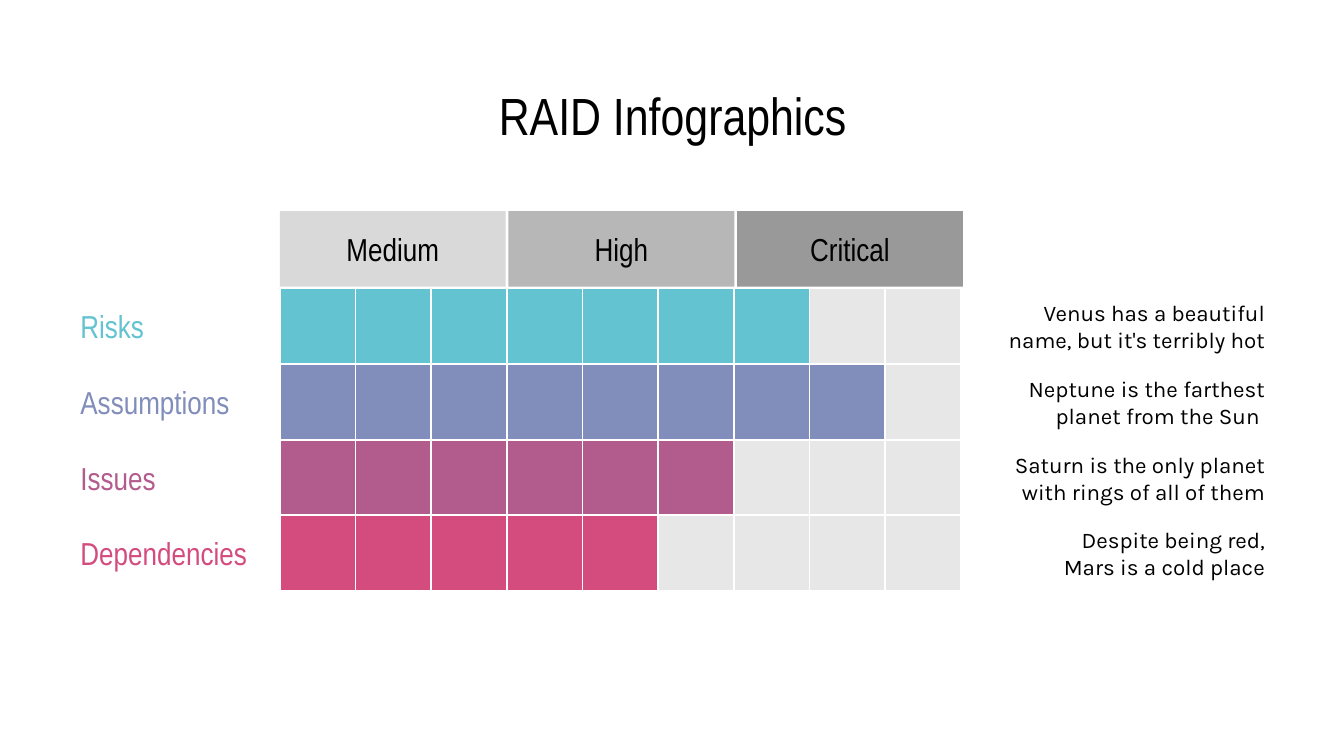
"""Build a RAID infographic slide with a severity grid and one note per row."""
from pptx import Presentation
from pptx import util as u
from pptx.dml.color import RGBColor
from pptx.enum import shapes, text

BLACK = RGBColor(0x00, 0x00, 0x00)
WHITE = RGBColor(0xFF, 0xFF, 0xFF)
EMPTY = RGBColor(0xE7, 0xE7, 0xE7)
LIGHT_GREY = RGBColor(0xD9, 0xD9, 0xD9)
MID_GREY = RGBColor(0xB7, 0xB7, 0xB7)
DARK_GREY = RGBColor(0x99, 0x99, 0x99)
TEAL = RGBColor(0x63, 0xC3, 0xD0)
BLUE = RGBColor(0x81, 0x8D, 0xBA)
PURPLE = RGBColor(0xB2, 0x5C, 0x8D)
PINK = RGBColor(0xD4, 0x4B, 0x7D)

HEADING_FONT = "Arial Narrow"
BODY_FONT = "Karla"
CELL = 1.43
COLUMNS = 9
GRID_LEFT = 5.29
GRID_TOP = 5.45

LEVELS = [("Medium", LIGHT_GREY), ("High", MID_GREY), ("Critical", DARK_GREY)]
ROWS = [
    ("Risks", TEAL, 7, "Venus has a beautiful name, but it's terribly hot"),
    ("Assumptions", BLUE, 8, "Neptune is the farthest planet from the Sun "),
    ("Issues", PURPLE, 6, "Saturn is the only planet with rings of all of them"),
    ("Dependencies", PINK, 5, "Despite being red,\vMars is a cold place"),
]


def write(box, words, font, size, color, align):
    frame = box.text_frame
    frame.word_wrap = True
    frame.auto_size = text.MSO_AUTO_SIZE.NONE
    frame.vertical_anchor = text.MSO_ANCHOR.MIDDLE
    frame.margin_left = frame.margin_right = u.Cm(0.25)
    frame.margin_top = frame.margin_bottom = u.Cm(0.25)
    paragraph = frame.paragraphs[0]
    paragraph.text = words
    paragraph.alignment = align
    paragraph.font.name = font
    paragraph.font.size = u.Pt(size)
    paragraph.font.color.rgb = color


def add_rectangle(group, left, top, width, fill):
    box = group.shapes.add_shape(
        shapes.MSO_SHAPE.RECTANGLE, u.Cm(left), u.Cm(top), u.Cm(width), u.Cm(CELL))
    box.shadow.inherit = False
    box.fill.solid()
    box.fill.fore_color.rgb = fill
    return box


deck = Presentation()
deck.slide_width = u.Cm(25.4)
deck.slide_height = u.Cm(14.29)
page = deck.slides.add_slide(deck.slide_layouts[5])

title = page.shapes.title
title.left, title.top = u.Cm(1.98), u.Cm(1.5)
title.width, title.height = u.Cm(21.46), u.Cm(1.35)
write(title, "RAID Infographics", HEADING_FONT, 28, BLACK, text.PP_ALIGN.CENTER)

for row, (name, color, score, note) in enumerate(ROWS):
    top = GRID_TOP + row * CELL
    group = page.shapes.add_group_shape()
    for column in range(COLUMNS):
        fill = color if column < score else EMPTY
        cell = add_rectangle(group, GRID_LEFT + column * CELL, top, CELL, fill)
        cell.line.color.rgb = WHITE
        cell.line.width = u.Pt(1.03)
    label = group.shapes.add_textbox(u.Cm(1.27), u.Cm(top + 0.36), u.Cm(3.86), u.Cm(0.71))
    write(label, name, HEADING_FONT, 17, color, text.PP_ALIGN.LEFT)
    remark = group.shapes.add_textbox(u.Cm(18.52), u.Cm(top + 0.21), u.Cm(5.64), u.Cm(1.02))
    write(remark, note, BODY_FONT, 12, BLACK, text.PP_ALIGN.RIGHT)

header = page.shapes.add_group_shape()
for index, (level, fill) in enumerate(LEVELS):
    box = add_rectangle(header, GRID_LEFT + index * 4.32, 3.99, 4.27, fill)
    box.line.fill.background()
    write(box, level, HEADING_FONT, 17, BLACK, text.PP_ALIGN.CENTER)

deck.save("out.pptx")
